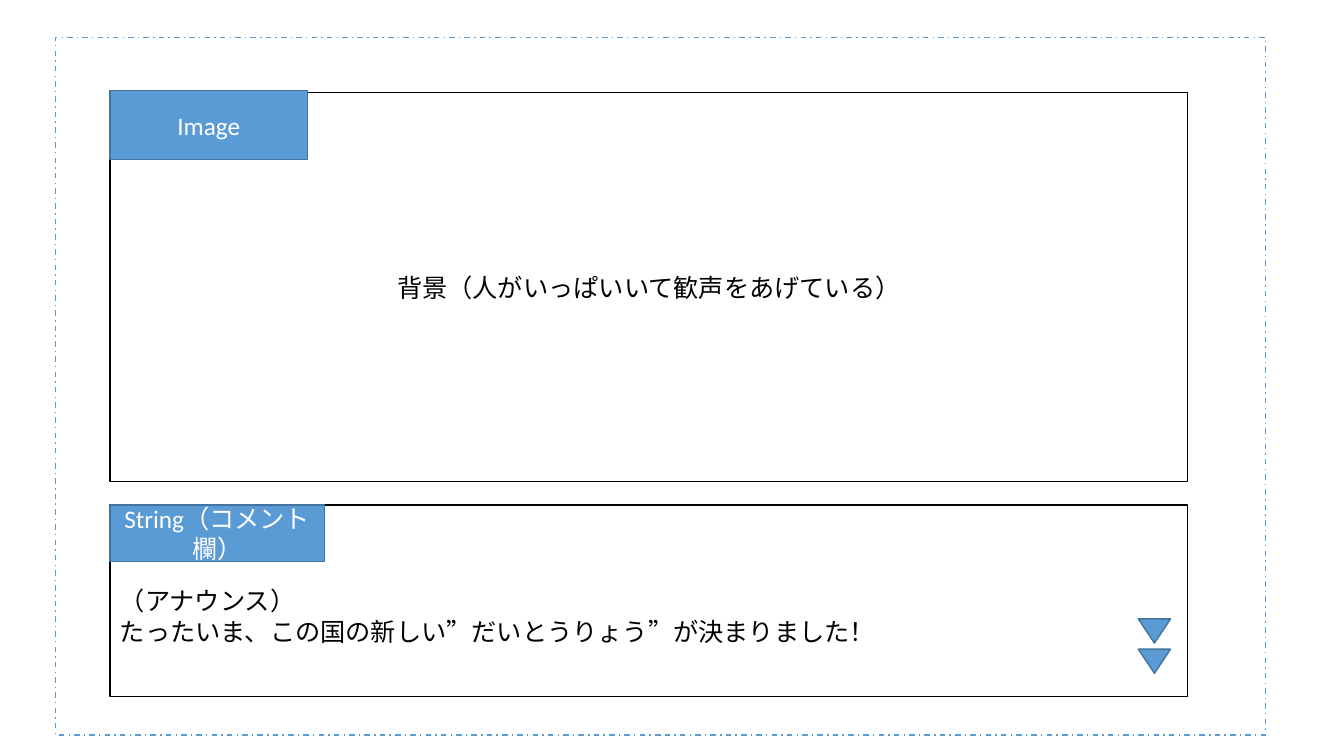
import pptx
import pptx.util
import pptx.dml.color
import pptx.enum.dml
import pptx.enum.shapes
import pptx.enum.text

Inches = pptx.util.Inches
SHAPE = pptx.enum.shapes.MSO_SHAPE
ALIGN = pptx.enum.text.PP_ALIGN
WHITE, BLACK, BLUE, DARK_BLUE = "FFFFFF", "000000", "5B9BD5", "43739E"


def color(value):
    return pptx.dml.color.RGBColor.from_string(value)


def add_box(slide, box, fill, line, kind=SHAPE.RECTANGLE):
    """Add a filled, outlined shape; box is left, top, width, height in inches."""
    shape = slide.shapes.add_shape(kind, *map(Inches, box))
    shape.shadow.inherit = False
    shape.fill.solid()
    shape.fill.fore_color.rgb = color(fill)
    shape.line.color.rgb = color(line)
    shape.line.width = pptx.util.Pt(1)
    return shape


def write(shape, lines, font_color, alignment=ALIGN.CENTER):
    frame = shape.text_frame
    frame.word_wrap = True
    frame.vertical_anchor = pptx.enum.text.MSO_ANCHOR.MIDDLE
    for index, line in enumerate(lines):
        paragraph = frame.add_paragraph() if index else frame.paragraphs[0]
        paragraph.alignment = alignment
        run = paragraph.add_run()
        run.text = line
        run.font.name = "Calibri"
        run.font.size = pptx.util.Pt(18)
        run.font.color.rgb = color(font_color)


def add_screen_frame(slide, box):
    frame = add_box(slide, box, WHITE, BLUE)
    frame.line.dash_style = pptx.enum.dml.MSO_LINE.DASH_DOT


def add_tag(slide, box, text):
    write(add_box(slide, box, BLUE, DARK_BLUE), [text], WHITE)


def add_image_area(slide, box):
    left, top, width, height = box
    write(add_box(slide, box, WHITE, BLACK),
          ["背景（人がいっぱいいて歓声をあげている）"], BLACK)
    add_tag(slide, (left, top - 0.02, 1.96, 0.68), "Image")


def add_comment_area(slide, box):
    left, top, width, height = box
    comment = add_box(slide, box, WHITE, BLACK)
    comment.text_frame.margin_top = Inches(0.35)
    write(comment,
          ["（アナウンス）", "たったいま、この国の新しい”だいとうりょう”が決まりました！"],
          BLACK, ALIGN.LEFT)
    for row in range(2):
        arrow_box = (left + width - 0.49, top + 1.13 + row * 0.3, 0.32, 0.24)
        arrow = add_box(slide, arrow_box, BLUE, DARK_BLUE, SHAPE.ISOSCELES_TRIANGLE)
        arrow.rotation = 180
    add_tag(slide, (left, top, 2.13, 0.56), "String（コメント欄）")


def main():
    presentation = pptx.Presentation()
    presentation.slide_width = Inches(13.33)
    presentation.slide_height = Inches(7.5)
    slide = presentation.slides.add_slide(presentation.slide_layouts[6])
    add_screen_frame(slide, (0.55, 0.37, 12, 6.92))
    add_image_area(slide, (1.09, 0.92, 10.69, 3.86))
    add_comment_area(slide, (1.09, 5.01, 10.69, 1.9))
    presentation.save("out.pptx")


if __name__ == "__main__":
    main()
